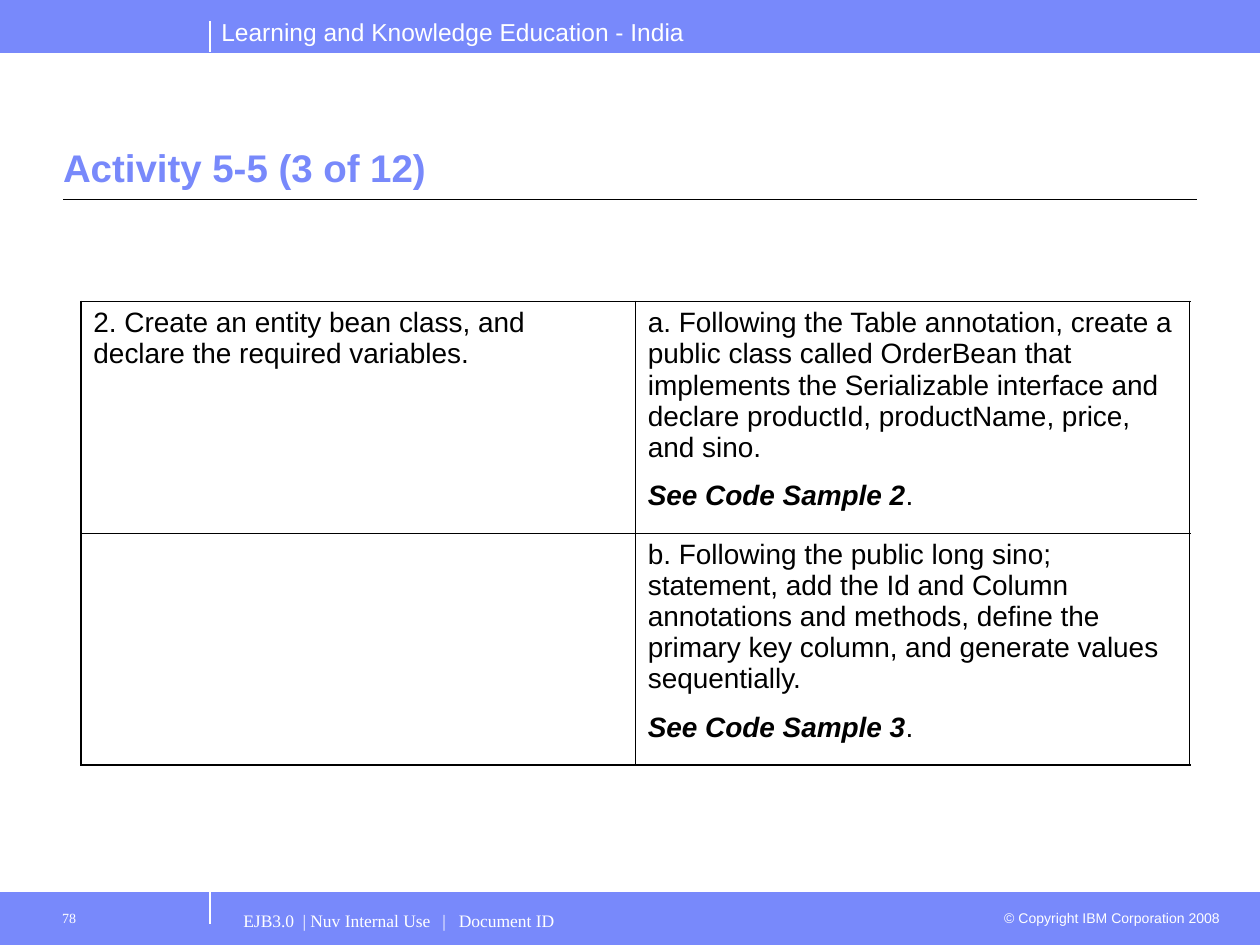
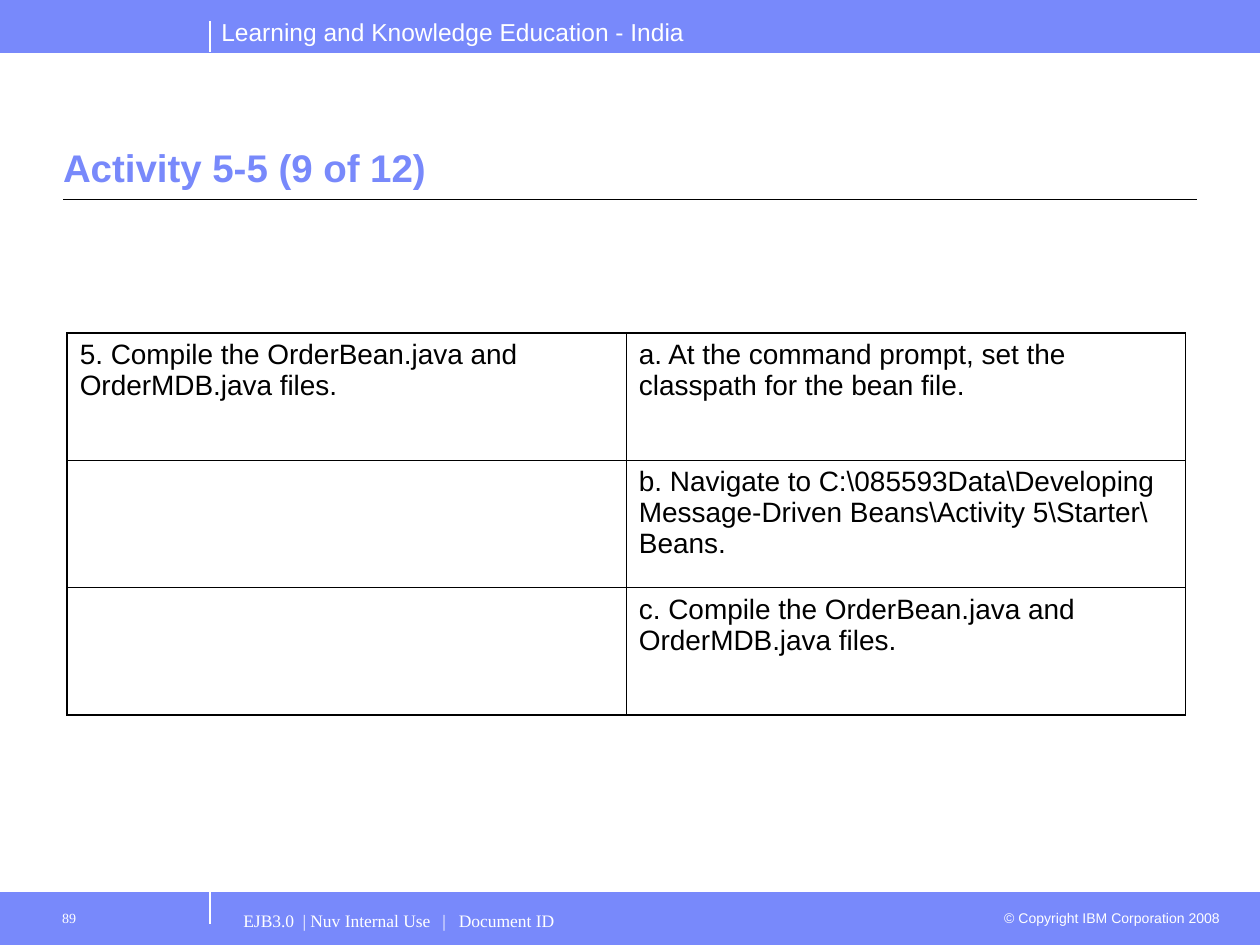
from lxml.etree import SubElement
from pptx import Presentation
from pptx.dml.color import RGBColor
from pptx.enum.shapes import MSO_CONNECTOR, MSO_SHAPE
from pptx.enum.text import MSO_ANCHOR, MSO_AUTO_SIZE, PP_ALIGN
from pptx.oxml.ns import qn
from pptx.util import Inches, Pt

COLS, ROWS = 120, 90  # grid over a 10 x 7.5 inch slide
BAND_H = 5
FOOT_Y = ROWS - BAND_H
DIVIDER_X = 20

BLUE = RGBColor(0x78, 0x89, 0xFB)
WHITE = RGBColor(0xFF, 0xFF, 0xFF)
BLACK = RGBColor(0x00, 0x00, 0x00)

THIN, THICK = 0.45, 1.08
FOOTER_TABS = (0.47, 1.58, 1.71)

TITLE = dict(name="Arial", size=Pt(22), bold=True, color=BLUE)
HEADER = dict(name="Arial", size=Pt(14), color=WHITE)
COPYRIGHT = dict(name="Arial", size=Pt(8), color=WHITE)
FOOTER = dict(name="Times New Roman", size=Pt(10), color=WHITE)
NUMBER = dict(FOOTER, size=Pt(8))
BODY = dict(name="Arial", size=Pt(16), color=BLACK)
EMPHASIS = dict(BODY, bold=True, italic=True)


def set_font(font, style):
    for key, value in style.items():
        if key == "color":
            font.color.rgb = value
        else:
            setattr(font, key, value)


class Deck:
    def __init__(self):
        self.prs = Presentation()
        self.prs.slide_width, self.prs.slide_height = Inches(10), Inches(7.5)
        self.s = None

    def grid(self, x, y, *size):
        """Turn columns and rows into lengths, in x, y order."""
        units = (self.prs.slide_width / COLS, self.prs.slide_height / ROWS)
        return [round(v * units[i % 2]) for i, v in enumerate((x, y, *size))]

    def add_slide(self, title, number):
        self.s = self.prs.slides.add_slide(self.prs.slide_layouts[5])
        self.frame()
        self.title(title)
        self.text((22, 85.8, 72, 4.2),
                  "EJB3.0\t| Nuv Internal Use\t|\tDocument ID",
                  FOOTER, tabs=FOOTER_TABS, top=0.07)
        self.text((4, 85.8, 16, 4.2), str(number), NUMBER, left=0.16, top=0.07)

    def frame(self):
        """Bands, rules and fixed texts that every slide carries."""
        for y in (FOOT_Y, 0):
            self.band(y)
        for y in (BAND_H, FOOT_Y):
            self.line((0, y), (COLS, y), BLUE, 0.5)
        self.line((6, 19), (COLS - 6, 19), BLACK, 0.75)
        for y in (2, FOOT_Y):
            self.line((DIVIDER_X, y), (DIVIDER_X, y + 3), WHITE, 0.75)
        self.text((19.9, 1, 48, 4),
                  "Learning and Knowledge Education - India", HEADER)
        self.text((92, 86, 25.4, 2.9), "© Copyright IBM Corporation 2008",
                  COPYRIGHT, align=PP_ALIGN.RIGHT)

    def band(self, y):
        sp = self.s.shapes.add_shape(MSO_SHAPE.RECTANGLE,
                                     *self.grid(0, y, COLS, BAND_H))
        sp.shadow.inherit = False
        sp.fill.solid()
        sp.fill.fore_color.rgb = BLUE
        sp.line.color.rgb = BLUE
        sp.line.width = Pt(0.75)

    def line(self, start, end, color, width):
        ln = self.s.shapes.add_connector(MSO_CONNECTOR.STRAIGHT,
                                         *self.grid(*start, *end))
        ln.line.color.rgb = color
        ln.line.width = Pt(width)
        SubElement(ln._element.spPr, qn("a:effectLst"))

    def title(self, text):
        sp = self.s.shapes.title
        sp.left, sp.top, sp.width, sp.height = self.grid(6, 7.7, 108, 11)
        tf = sp.text_frame
        tf.text = text
        tf.auto_size = MSO_AUTO_SIZE.NONE
        tf.vertical_anchor = MSO_ANCHOR.BOTTOM
        tf.margin_left = tf.margin_right = 0
        p = tf.paragraphs[0]
        p.alignment = PP_ALIGN.LEFT
        set_font(p.runs[0].font, TITLE)

    def text(self, box, text, style, align=PP_ALIGN.LEFT, tabs=(),
             left=0.1, top=0.05):
        tf = self.s.shapes.add_textbox(*self.grid(*box)).text_frame
        tf.word_wrap = True
        tf.margin_left, tf.margin_top = Inches(left), Inches(top)
        p = tf.paragraphs[0]
        p.alignment = align
        if tabs:
            tab_list = SubElement(p._p.get_or_add_pPr(), qn("a:tabLst"))
            for pos in tabs:
                SubElement(tab_list, qn("a:tab"), pos=str(Inches(pos)), algn="l")
        r = p.add_run()
        r.text = text
        set_font(r.font, style)

    def table(self, x, y, width, row_h, rows):
        """Each cell is a list of paragraphs, each a list of (text, style) runs."""
        n_rows, n_cols = len(rows), len(rows[0])
        tbl = self.s.shapes.add_table(
            n_rows, n_cols, *self.grid(x, y, width, row_h * n_rows)).table
        tbl.first_row = tbl.horz_banding = False
        for i, row in enumerate(rows):
            for j, paragraphs in enumerate(row):
                cell = tbl.cell(i, j)
                self.borders(cell, L=j == 0, R=j == n_cols - 1,
                             T=i == 0, B=i == n_rows - 1)
                cell.fill.background()
                self.fill_cell(cell.text_frame, paragraphs)

    def borders(self, cell, **outer):
        tc_pr = cell._tc.get_or_add_tcPr()
        for side, is_outer in outer.items():
            width = Pt(THICK if is_outer else THIN)
            ln = SubElement(tc_pr, qn(f"a:ln{side}"), w=str(width))
            fill = SubElement(ln, qn("a:solidFill"))
            SubElement(fill, qn("a:srgbClr"), val=str(BLACK))

    def fill_cell(self, tf, paragraphs):
        for k, runs in enumerate(paragraphs):
            p = tf.add_paragraph() if k else tf.paragraphs[0]
            p.space_after = Pt(10)
            for text, style in runs:
                r = p.add_run()
                r.text = text
                set_font(r.font, style)


def step(text, sample=None):
    """Paragraphs of a step, with a pointer to its code sample if it has one."""
    paragraphs = [[(text, BODY)]]
    if sample:
        paragraphs.append([(f"See Code Sample {sample}", EMPHASIS), (".", BODY)])
    return paragraphs


def main():
    deck = Deck()

    deck.add_slide("Activity 5-5 (3 of 12)", 78)
    deck.table(7.7, 28.7, 105.6, 22.05, [
        [step("2. Create an entity bean class, and declare the required "
              "variables."),
         step("a. Following the Table annotation, create a public class called "
              "OrderBean that implements the Serializable interface and declare "
              "productId, productName, price, and sino.", 2)],
        [[],
         step("b. Following the public long sino; statement, add the Id and "
              "Column annotations and methods, define the primary key column, "
              "and generate values sequentially.", 3)],
    ])

    deck.add_slide("Activity 5-5 (9 of 12)", 89)
    deck.table(6.4, 31.7, 106.5, 12.13, [
        [step("5. Compile the OrderBean.java and OrderMDB.java files."),
         step("a. At the command prompt, set the classpath for the bean file.")],
        [[],
         step(r"b. Navigate to C:\085593Data\Developing Message-Driven "
              r"Beans\Activity 5\Starter\ Beans.")],
        [[],
         step("c. Compile the OrderBean.java and OrderMDB.java files.")],
    ])

    deck.prs.save("out.pptx")


if __name__ == "__main__":
    main()
